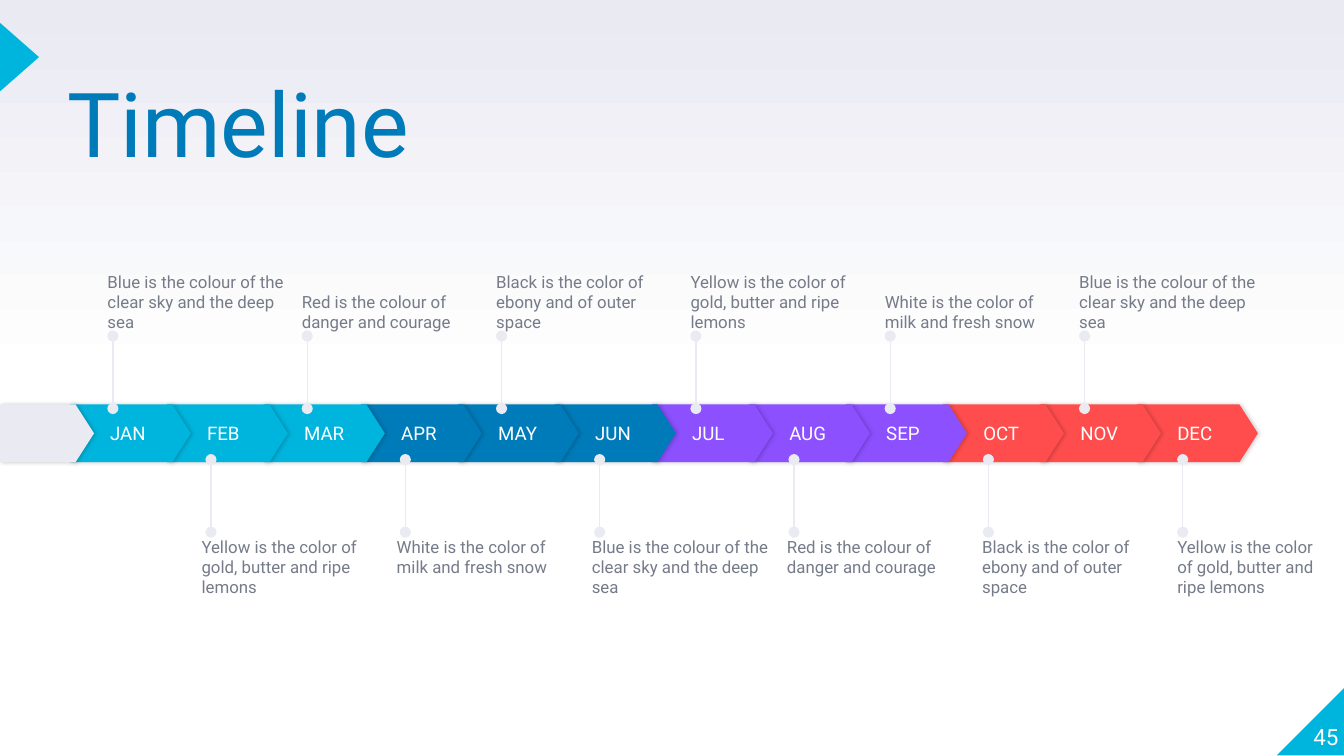
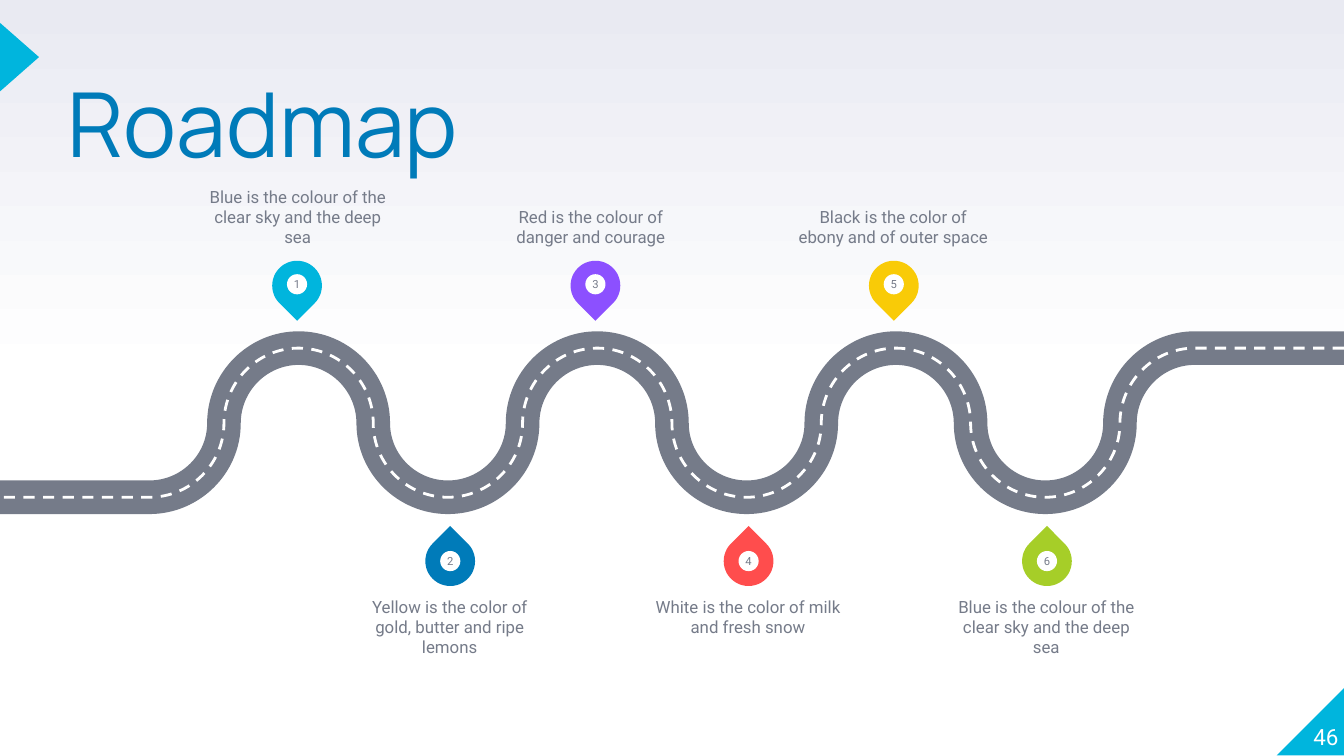
from copy import deepcopy
from dataclasses import dataclass

from lxml.etree import SubElement
from pptx import Presentation
from pptx.dml.color import RGBColor
from pptx.enum.dml import MSO_LINE
from pptx.enum.shapes import MSO_CONNECTOR, MSO_SHAPE
from pptx.enum.text import MSO_ANCHOR, PP_ALIGN
from pptx.oxml.ns import qn
from pptx.util import Inches, Pt


@dataclass(frozen=True)
class Theme:
    cyan: str = "00B5DD"
    blue: str = "007BB9"
    violet: str = "8C50FF"
    red: str = "FF4D4D"
    yellow: str = "F9CB07"
    green: str = "A6CE28"
    gray: str = "757B89"
    pale: str = "E9EAF2"
    white: str = "FFFFFF"
    font: str = "Roboto"
    light: str = "Manrope"
    title: int = 48
    page: int = 12
    month: int = 10
    note: int = 9
    badge: int = 6


T = Theme()
WIDE = 10
HIGH = WIDE * 9 / 16

SKY = "Blue is the colour of the clear sky and the deep sea"
GOLD = "Yellow is the color of gold, butter and ripe lemons"
BLOOD = "Red is the colour of danger and courage"
MILK = "White is the color of milk and fresh snow"
EBONY = "Black is the color of ebony and of outer space"

QUARTERS = [
    (T.cyan, ("JAN", "FEB", "MAR")),
    (T.blue, ("APR", "MAY", "JUN")),
    (T.violet, ("JUL", "AUG", "SEP")),
    (T.red, ("OCT", "NOV", "DEC")),
]
ABOVE = [SKY, BLOOD, EBONY, GOLD, MILK, SKY]
BELOW = [GOLD, MILK, SKY, BLOOD, EBONY, GOLD]

# Colour, note and left edge of the note, in order along the road
STOPS = [
    (T.cyan, SKY, 1.51),
    (T.blue, GOLD, 2.64),
    (T.violet, BLOOD, 3.69),
    (T.red, MILK, 4.86),
    (T.yellow, EBONY, 5.94),
    (T.green, SKY, 7.08),
]


def spread(first, last, count):
    """Evenly spaced positions, both ends included."""
    return [first + (last - first) * i / (count - 1) for i in range(count)]


def box(x, y, w, h):
    return [Inches(v) for v in (x, y, w, h)]


def write(shape, text, size, color, font=T.font, align=PP_ALIGN.LEFT,
          anchor=MSO_ANCHOR.TOP, inset=0):
    frame = shape.text_frame
    frame.word_wrap = True
    frame.vertical_anchor = anchor
    frame.margin_left = Inches(inset)
    frame.margin_top = frame.margin_right = frame.margin_bottom = 0
    para = frame.paragraphs[0]
    para.text = text
    para.alignment = align
    para.font.name = font
    para.font.size = Pt(size)
    para.font.color.rgb = RGBColor.from_string(color)
    return para


def label(slide, area, *args, **style):
    return write(slide.shapes.add_textbox(*box(*area)), *args, **style)


def solid(shapes, kind, area, color, turn=0):
    shape = shapes.add_shape(kind, *box(*area))
    shape.fill.solid()
    shape.fill.fore_color.rgb = RGBColor.from_string(color)
    shape.line.fill.background()
    shape.shadow.inherit = False
    shape.rotation = turn
    return shape


def shade(slide):
    """Fade the background from white, held to the middle, to pale on top."""
    fill = slide.background.fill
    fill.gradient()
    fill.gradient_angle = 90
    low, top = fill.gradient_stops
    low.position, top.position = 0, 1
    low.color.rgb = RGBColor.from_string(T.white)
    top.color.rgb = RGBColor.from_string(T.pale)
    first = next(slide.element.iter(qn("a:gs")))
    mid = deepcopy(first)
    mid.set("pos", "50000")
    first.addnext(mid)


def start(deck, title, page, font=T.font):
    slide = deck.slides.add_slide(deck.slide_layouts[6])
    shade(slide)
    corner = solid(slide.shapes, MSO_SHAPE.RIGHT_TRIANGLE,
                   (9.5, 5.11, 0.51, 0.51), T.cyan)
    corner.element.spPr.find(qn("a:xfrm")).set("flipH", "1")
    solid(slide.shapes, MSO_SHAPE.ISOSCELES_TRIANGLE,
          (-0.11, 0.28, 0.51, 0.29), T.cyan, 90)
    head = label(slide, (0.5, 0.66, 6.17, 1.18), title, T.title, T.blue, font)
    head.line_spacing = 0.8
    label(slide, (9.46, 5.07, 0.5, 0.51), str(page), T.page, T.white,
          align=PP_ALIGN.RIGHT, anchor=MSO_ANCHOR.BOTTOM)
    return slide


def arrow(slide, x, w, color):
    """A band segment with a soft shadow."""
    shape = solid(slide.shapes, MSO_SHAPE.PENTAGON, (x, 3.01, w, 0.43), color)
    shape.adjustments[0] = 0.32
    glow = SubElement(shape.element.spPr.find(qn("a:effectLst")),
                      qn("a:outerShdw"), blurRad=str(Pt(2.2)),
                      dist=str(Pt(0.8)), dir="0", algn="l", rotWithShape="0")
    tint = SubElement(glow, qn("a:srgbClr"), val="000000")
    SubElement(tint, qn("a:alpha"), val="20000")
    return shape


def stem(slide, x, y1, y2):
    """A thin line with a dot at each end."""
    line = slide.shapes.add_connector(MSO_CONNECTOR.STRAIGHT,
                                      *box(x, y1, x, y2))
    line.line.color.rgb = RGBColor.from_string(T.pale)
    line.line.width = Pt(0.75)
    props = line._element.spPr
    for end in ("a:headEnd", "a:tailEnd"):
        SubElement(props.find(qn("a:ln")), qn(end), type="oval")
    SubElement(props, qn("a:effectLst"))


def timeline(deck):
    slide = start(deck, "Timeline", 45)
    months = [(name, color) for color, names in QUARTERS for name in names]
    lefts = spread(0.52, 8.46, len(months))
    for x, (name, color) in reversed(list(zip(lefts, months))):
        write(arrow(slide, x, 0.9, color), name, T.month, T.white,
              anchor=MSO_ANCHOR.MIDDLE, inset=0.3)
    arrow(slide, 0, 0.7, T.pale)

    for x, left, text in zip(spread(0.84, 8.07, 6), spread(0.8, 8.03, 6), ABOVE):
        stem(slide, x, 3.04, 2.5)
        label(slide, (left, 1.89, 1.37, 0.58), text, T.note, T.gray,
              anchor=MSO_ANCHOR.BOTTOM)
    for x, left, text in zip(spread(1.57, 8.8, 6), spread(1.5, 8.76, 6), BELOW):
        stem(slide, x, 3.96, 3.42)
        w = min(1.37, 9.89 - left)
        label(slide, (left, 3.99, w, 0.58), text, T.note, T.gray)


def bend(path):
    """Turn the inner segments of a path into quarter circles."""
    pull = 0.55
    spots = [(int(p.get("x")), int(p.get("y"))) for p in path.iter(qn("a:pt"))]
    lines = path.findall(qn("a:lnTo"))
    for i in range(1, len(lines) - 1):
        (x1, y1), (x2, y2) = spots[i], spots[i + 1]
        dx, dy = pull * (x2 - x1), pull * (y2 - y1)
        if i % 2:
            pulls = (x1 + dx, y1), (x2, y2 - dy)
        else:
            pulls = (x1, y1 + dy), (x2 - dx, y2)
        lines[i].tag = qn("a:cubicBezTo")
        for at, (x, y) in enumerate(pulls):
            spot = deepcopy(lines[i][-1])
            spot.set("x", str(round(x)))
            spot.set("y", str(round(y)))
            lines[i].insert(at, spot)


def road(slide, color, width, dash=None):
    top, mid, low = 2.59, 3.15, 3.7
    levels = (top, mid, low, mid)
    turns = [(WIDE * k / 18, levels[k % 4]) for k in range(16, 1, -1)]
    spots = [(Inches(x), Inches(y)) for x, y in turns + [(0, low)]]
    form = slide.shapes.build_freeform(Inches(WIDE), Inches(top))
    form.add_line_segments(spots, close=False)
    shape = form.convert_to_shape()
    bend(next(shape.element.iter(qn("a:path"))))
    shape.fill.background()
    shape.shadow.inherit = False
    shape.line.color.rgb = RGBColor.from_string(color)
    shape.line.width = Pt(width)
    if dash:
        shape.line.dash_style = dash


def pin(slide, mid, y, turn, dot, color, number):
    """A teardrop with a numbered badge, grouped."""
    size, small = 0.37, 0.15
    parts = slide.shapes.add_group_shape().shapes
    solid(parts, MSO_SHAPE.TEAR, (mid - size / 2, y, size, size), color, turn)
    badge = solid(parts, MSO_SHAPE.OVAL,
                  (mid - small / 2, dot, small, small), T.white)
    write(badge, str(number), T.badge, T.gray, align=PP_ALIGN.CENTER,
          anchor=MSO_ANCHOR.MIDDLE)


def roadmap(deck):
    slide = start(deck, "Roadmap", 46, T.light)
    road(slide, T.gray, 18)
    road(slide, T.white, 1.5, MSO_LINE.DASH)
    for i, (color, text, left) in enumerate(STOPS):
        step = 2.22 * (i // 2)
        if i % 2:
            spot, y, anchor = (3.35 + step, 3.99, 315, 4.1), 4.44, MSO_ANCHOR.TOP
        else:
            spot, y, anchor = (2.21 + step, 1.94, 135, 2.04), 1.26, MSO_ANCHOR.BOTTOM
        pin(slide, *spot, color, i + 1)
        label(slide, (left, y, 1.41, 0.58), text, T.note, T.gray,
              align=PP_ALIGN.CENTER, anchor=anchor)


def main():
    deck = Presentation()
    deck.slide_width, deck.slide_height = Inches(WIDE), Inches(HIGH)
    timeline(deck)
    roadmap(deck)
    deck.save("out.pptx")


if __name__ == "__main__":
    main()
